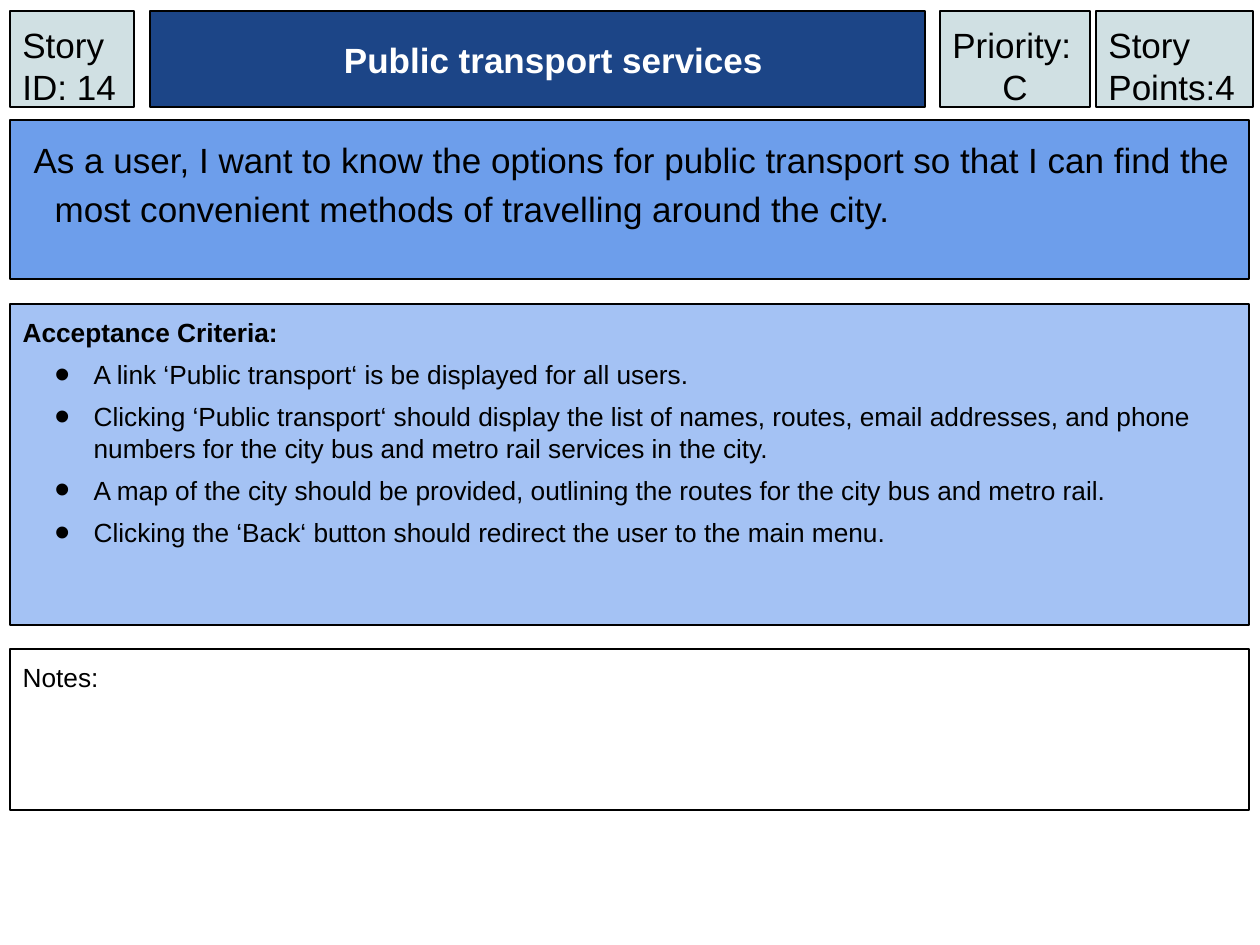
from lxml.etree import SubElement
from pptx import Presentation
from pptx.dml.color import RGBColor
from pptx.enum.shapes import MSO_SHAPE
from pptx.enum.text import MSO_ANCHOR, MSO_AUTO_SIZE, PP_ALIGN
from pptx.oxml.ns import qn
from pptx.util import Pt

PX = 914400 // 126  # EMU per pixel

COLORS = {
    "ink": "000000", "white": "FFFFFF", "navy": "1C4587",
    "blue": "6D9EEB", "sky": "A4C2F4", "mist": "D0E0E3",
}

TITLE = "Public transport services"
STORY = ("As a user, I want to know the options for public transport so that "
         "I can find the most convenient methods of travelling around the city.")
CRITERIA_HEADING = "Acceptance Criteria:"
CRITERIA = [
    "A link ‘Public transport‘ is be displayed for all users.",
    "Clicking ‘Public transport‘ should display the list of names, routes, email "
    "addresses, and phone numbers for the city bus and metro rail services in the city.",
    "A map of the city should be provided, outlining the routes for the city bus "
    "and metro rail.",
    "Clicking the ‘Back‘ button should redirect the user to the main menu.",
]
NOTES = "Notes:"

# Header cards: left, width, lines with alignment
HEADER_TOP, HEADER_HEIGHT = 11, 96
CARDS = [
    (1096, 157, [("Story Points:4", PP_ALIGN.LEFT)]),
    (940, 150, [("Priority:", PP_ALIGN.LEFT), ("C", PP_ALIGN.CENTER)]),
    (10, 124, [("Story ID: 14", PP_ALIGN.LEFT)]),
]
PANEL_LEFT, PANEL_WIDTH = 10, 1239


def rgb(name):
    return RGBColor.from_string(COLORS[name])


def style_box(box, left, top, width, height, fill, anchor=MSO_ANCHOR.TOP):
    """Place a box, colour it and return its text frame."""
    box.left, box.top, box.width, box.height = (
        n * PX for n in (left, top, width, height))
    box.fill.solid()
    box.fill.fore_color.rgb = rgb(fill)
    box.line.color.rgb = rgb("ink")
    box.line.width = Pt(0.75)
    frame = box.text_frame
    frame.word_wrap = True
    frame.auto_size = MSO_AUTO_SIZE.NONE
    frame.vertical_anchor = anchor
    frame.margin_left = frame.margin_right = Pt(7.2)
    frame.margin_top = frame.margin_bottom = Pt(7.2)
    return frame


def write(frame, text, size, color="ink", bold=False, align=PP_ALIGN.LEFT,
          margin=0, indent=0, before=0, bullet=False):
    """Fill the empty first paragraph, or add another one."""
    para = frame.paragraphs[0]
    if para.runs:
        para = frame.add_paragraph()
    para.text = text
    props = para._p.get_or_add_pPr()
    props.set("marL", str(margin * PX))
    props.set("indent", str(indent * PX))
    if bullet:
        tint = SubElement(props, qn("a:buClr"))
        SubElement(tint, qn("a:srgbClr"), val=COLORS["ink"])
        SubElement(props, qn("a:buSzPct"), val="167000")
        SubElement(props, qn("a:buFont"), typeface="Arial")
        SubElement(props, qn("a:buChar"), char="•")
    else:
        SubElement(props, qn("a:buNone"))
    para.alignment = align
    para.space_before = Pt(before)
    para.line_spacing = 1.0
    para.font.name = "Arial"
    para.font.size = Pt(size)
    para.font.bold = bold
    para.font.color.rgb = rgb(color)
    return para


def main():
    deck = Presentation()
    deck.slide_width, deck.slide_height = 1260 * PX, 945 * PX
    page = deck.slides.add_slide(deck.slide_layouts.get_by_name("Comparison"))
    title, story, criteria, notes, spare = page.placeholders
    spare.element.getparent().remove(spare.element)

    frame = style_box(story, PANEL_LEFT, 120, PANEL_WIDTH, 159, "blue")
    write(frame, STORY, 20, margin=32, indent=-21).line_spacing = 1.15

    frame = style_box(title, 150, HEADER_TOP, 775, HEADER_HEIGHT, "navy",
                      MSO_ANCHOR.MIDDLE)
    write(frame, TITLE, 20, "white", True, PP_ALIGN.CENTER, indent=32)

    frame = style_box(criteria, PANEL_LEFT, 304, PANEL_WIDTH, 321, "sky")
    write(frame, CRITERIA_HEADING, 15, bold=True, margin=48, indent=-48)
    for item in CRITERIA:
        write(frame, item, 15, margin=71, indent=-39, before=6, bullet=True)

    frame = style_box(notes, PANEL_LEFT, 649, PANEL_WIDTH, 161, "white")
    write(frame, NOTES, 15, margin=48, indent=-48)

    for left, width, lines in CARDS:
        card = page.shapes.add_shape(MSO_SHAPE.RECTANGLE, 0, 0, PX, PX)
        card.shadow.inherit = False
        frame = style_box(card, left, HEADER_TOP, width, HEADER_HEIGHT, "mist")
        for text, align in lines:
            write(frame, text, 20, align=align)

    deck.save("out.pptx")


if __name__ == "__main__":
    main()
